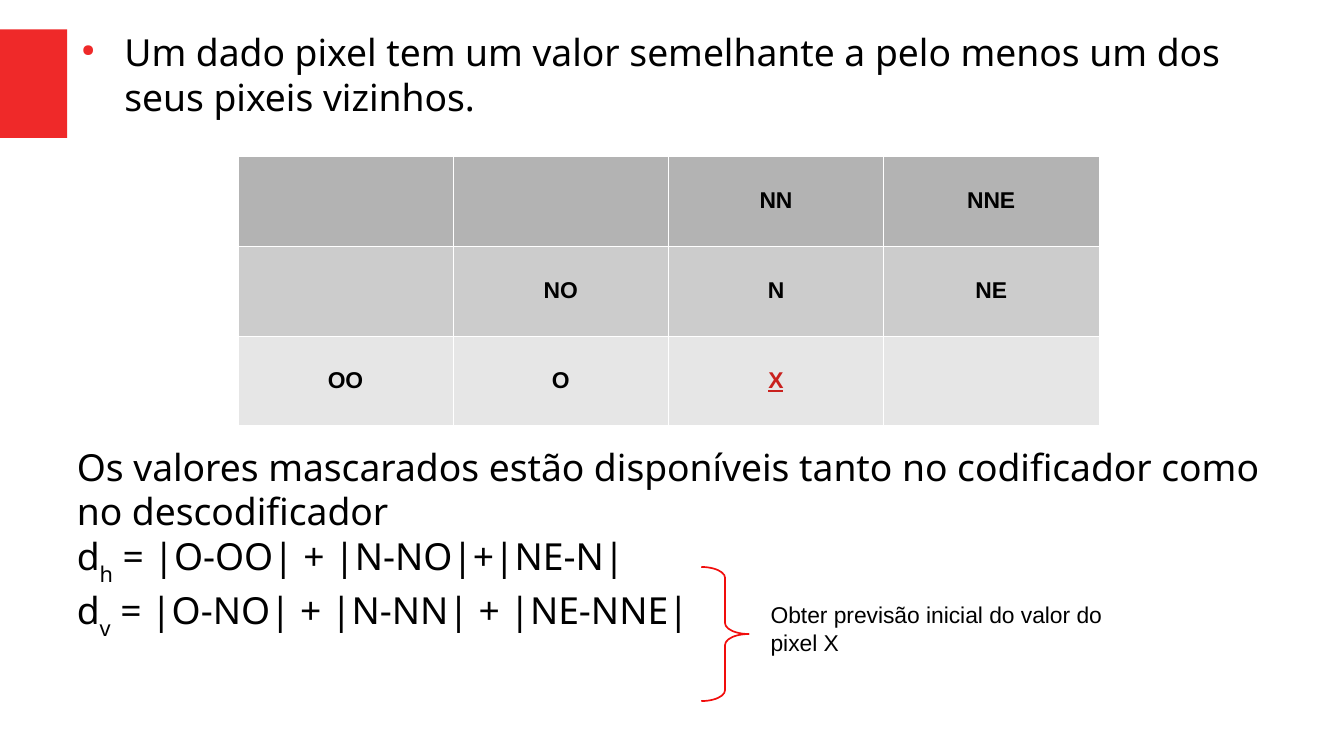
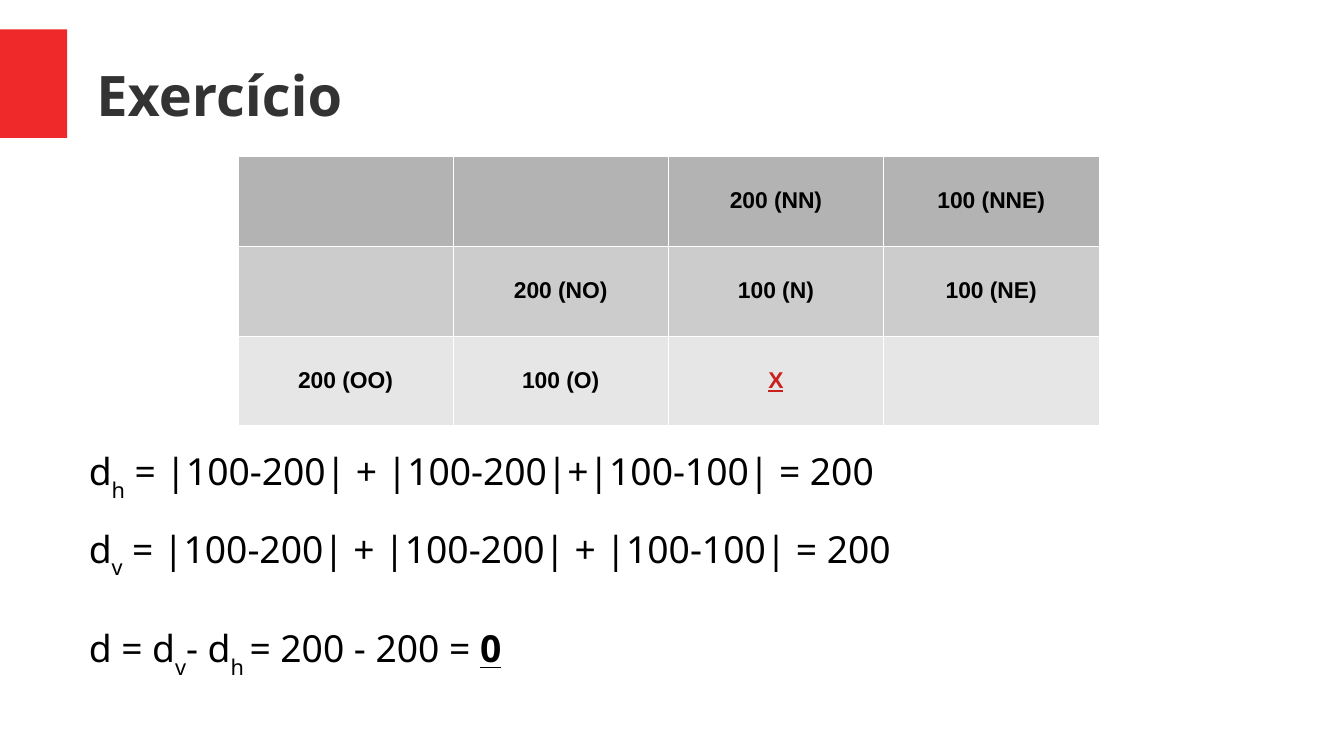
from lxml.etree import SubElement
from pptx import Presentation
from pptx.dml.color import RGBColor
from pptx.enum.shapes import MSO_SHAPE as Shape
from pptx.enum.text import MSO_ANCHOR as Anchor, PP_ALIGN as Align
from pptx.oxml.ns import qn
from pptx.util import Inches, Pt

COLORS = {"band": "EF2929", "brace": "F10D0C", "text": "000000", "title": "333333",
          "pixel": "C9211E", "border": "FFFFFF"}
ROW_FILLS = ("B3B3B3", "CCCCCC", "E6E6E6")

BODY = {"name": "Noto Sans", "size": Pt(22), "color": "text"}
TITLE = {"name": "Noto Sans", "size": Pt(33), "bold": True, "color": "title"}
NOTE = {"name": "Arial", "size": Pt(13.5), "color": "text"}
CELL = {**NOTE, "bold": True}
PIXEL = {**CELL, "underline": True, "color": "pixel"}
RESULT = {**BODY, "bold": True, "underline": True}
SUB = {**BODY, "baseline": "-33000"}

NEIGHBOURS = [["", "", "NN", "NNE"], ["", "NO", "N", "NE"], ["OO", "O", "X", ""]]
VALUES = [["", "", "200 (NN)", "100 (NNE)"],
          ["", "200 (NO)", "100 (N)", "100 (NE)"],
          ["200 (OO)", "100 (O)", "X", ""]]


def rgb(name):
    return RGBColor.from_string(COLORS[name])


def add_span(para, text, style):
    span = para.add_run()
    span.text = text
    for key, value in style.items():
        if key == "color":
            span.font.color.rgb = rgb(value)
        elif key == "baseline":
            span.font._element.set("baseline", value)
        else:
            setattr(span.font, key, value)


def add_text(page, place, paras, margins=(0, 0), anchor=Anchor.TOP):
    """Each paragraph is a list of (text, style) spans."""
    frame = page.shapes.add_textbox(*map(Inches, place)).text_frame
    frame.word_wrap = True
    frame.vertical_anchor = anchor
    frame.margin_left = frame.margin_right = Inches(margins[0])
    frame.margin_top = frame.margin_bottom = Inches(margins[1])
    for index, spans in enumerate(paras):
        para = frame.add_paragraph() if index else frame.paragraphs[0]
        for text, style in spans:
            add_span(para, text, style)
    return frame.paragraphs


def add_bullet(para):
    props = para._p.get_or_add_pPr()
    props.set("marL", str(Inches(0.47)))
    props.set("indent", str(Inches(-0.35)))
    color = SubElement(props, qn("a:buClr"))
    SubElement(color, qn("a:srgbClr"), val=COLORS["band"])
    SubElement(props, qn("a:buSzPct"), val="45000")
    SubElement(props, qn("a:buChar"), char="●")


def add_borders(cell):
    props = cell._tc.get_or_add_tcPr()
    for index, side in enumerate(("lnL", "lnR", "lnT", "lnB")):
        line = props.makeelement(qn(f"a:{side}"), {"w": str(Pt(0.06))})
        fill = SubElement(line, qn("a:solidFill"))
        SubElement(fill, qn("a:srgbClr"), val=COLORS["border"])
        props.insert(index, line)


def add_pixel_grid(page, rows):
    place = map(Inches, (1.95, 1.28, 7.06, 2.21))
    table = page.shapes.add_table(len(rows), len(rows[0]), *place).table
    for row_index, (labels, fill) in enumerate(zip(rows, ROW_FILLS)):
        for col_index, label in enumerate(labels):
            cell = table.cell(row_index, col_index)
            cell.fill.solid()
            cell.fill.fore_color.rgb = RGBColor.from_string(fill)
            cell.vertical_anchor = Anchor.MIDDLE
            add_borders(cell)
            if label:
                para = cell.text_frame.paragraphs[0]
                para.alignment = Align.CENTER
                add_span(para, label, PIXEL if label == "X" else CELL)


def add_page(deck):
    page = deck.slides.add_slide(deck.slide_layouts[6])
    band = page.shapes.add_shape(Shape.RECTANGLE, *map(Inches, (0, 0.24, 0.55, 0.89)))
    band.shadow.inherit = False
    band.fill.solid()
    band.fill.fore_color.rgb = rgb("band")
    band.line.fill.background()
    return page


def add_brace(page):
    brace = page.shapes.add_shape(Shape.RIGHT_BRACE, *map(Inches, (5.75, 4.65, 0.39, 1.1)))
    brace.shadow.inherit = False
    brace.adjustments[0] = 0.23
    brace.fill.background()
    brace.line.color.rgb = rgb("brace")
    brace.line.width = Pt(1)


def gradient(direction, formula):
    return [("d", BODY), (direction, SUB), (f" = {formula}", BODY)]


def build_prediction(deck):
    page = add_page(deck)
    claim = "Um dado pixel tem um valor semelhante a pelo menos um dos seus pixeis vizinhos."
    add_bullet(add_text(page, (0.55, 0.24, 9.84, 0.83), [[(claim, BODY)]])[0])
    add_pixel_grid(page, NEIGHBOURS)
    masked = ("Os valores mascarados estão disponíveis tanto no codificador "
              "como no descodificador")
    add_text(page, (0.63, 3.64, 9.92, 2.19), [
        [(masked, BODY)],
        gradient("h", "|O-OO| + |N-NO|+|NE-N|"),
        gradient("v", "|O-NO| + |N-NN| + |NE-NNE|")])
    add_brace(page)
    add_text(page, (6.22, 4.88, 3.31, 0.87),
             [[("Obter previsão inicial do valor do pixel X", NOTE)]], (0.1, 0.05))


def build_exercise(deck):
    page = add_page(deck)
    add_text(page, (0.79, 0.25, 9.68, 1.04), [[("Exercício", TITLE)]], anchor=Anchor.MIDDLE)
    add_pixel_grid(page, VALUES)
    paras = add_text(page, (0.63, 3.63, 9.06, 2.15), [
        gradient("h", "|100-200| + |100-200|+|100-100| = 200"),
        gradient("v", "|100-200| + |100-200| + |100-100| = 200"),
        [("d = d", BODY), ("v", SUB), ("- d", BODY), ("h ", SUB),
         ("= 200 - 200 = ", BODY), ("0", RESULT)]], (0.1, 0.05))
    paras[0].space_after = Pt(14)
    paras[2].space_before = Pt(27)


def main():
    deck = Presentation()
    deck.slide_width, deck.slide_height = Inches(11.02), Inches(6.2)
    build_prediction(deck)
    build_exercise(deck)
    deck.save("out.pptx")


if __name__ == "__main__":
    main()
